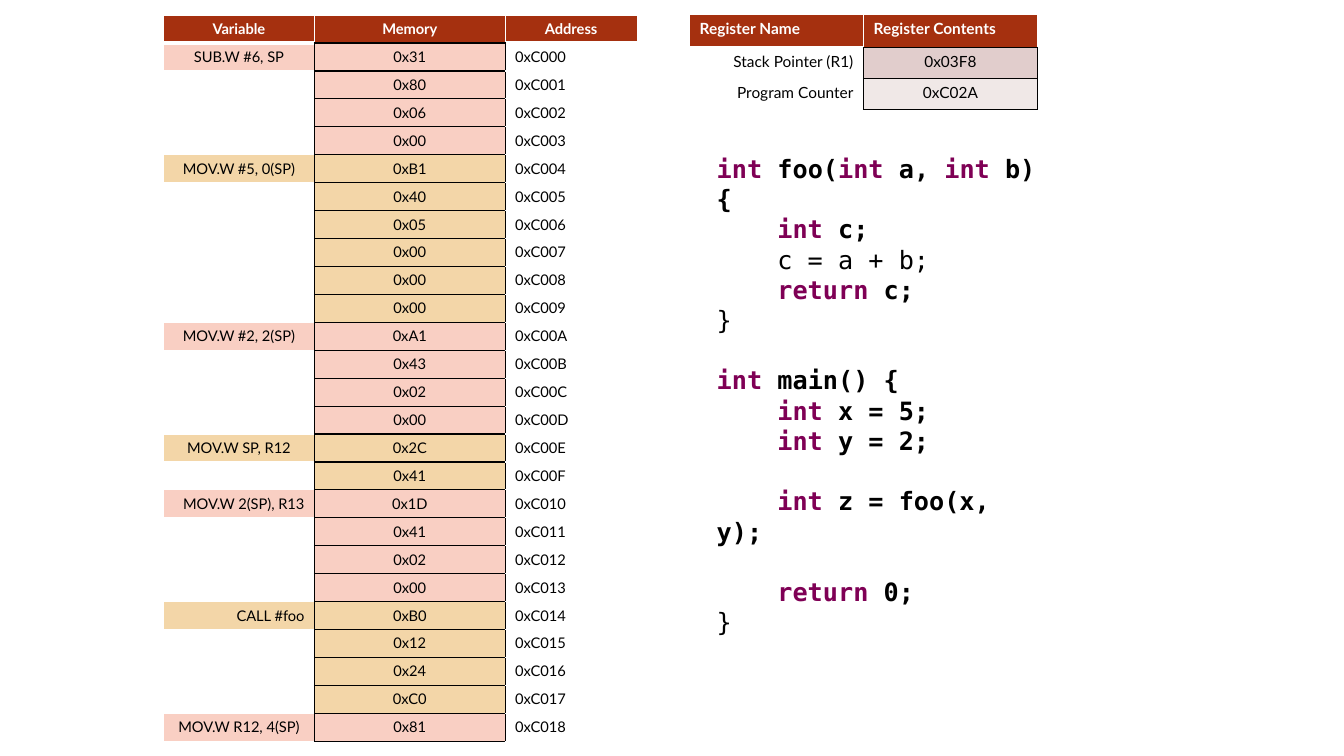
from dataclasses import dataclass

from lxml import etree
from pptx import Presentation
from pptx import util as u
from pptx.dml import color
from pptx.enum import text
from pptx.oxml import ns


@dataclass(frozen=True)
class Theme:
    white: str = "FFFFFF"
    black: str = "000000"
    header: str = "A5300F"
    pink: str = "F9CFC3"
    sand: str = "F3D6A8"
    mauve: str = "E1CDCC"
    pale_mauve: str = "F0E8E7"
    keyword: str = "7F0055"
    body_font: str = "Lato"
    code_font: str = "DejaVu Sans Mono"
    memory_size: float = 10.5
    register_size: float = 11
    code_size: float = 18
    code_gap: float = 21.6


THEME = Theme()
LEFT, CENTER, RIGHT = text.PP_ALIGN.LEFT, text.PP_ALIGN.CENTER, text.PP_ALIGN.RIGHT

WHITE_LINE = (THEME.white, 1)
BLACK_LINE = (THEME.black, 1)
THICK_LINE = (THEME.white, 3)
SIDES = ("lnL", "lnR", "lnT", "lnB")
HEADER_EDGES = (WHITE_LINE, WHITE_LINE, WHITE_LINE, THICK_LINE)
BOXED_HEADER_EDGES = (WHITE_LINE, WHITE_LINE, WHITE_LINE, BLACK_LINE)
LABEL_EDGES = (WHITE_LINE, BLACK_LINE, WHITE_LINE, WHITE_LINE)
BOXED_EDGES = (BLACK_LINE,) * 4
ADDRESS_EDGES = (BLACK_LINE, WHITE_LINE, WHITE_LINE, WHITE_LINE)

FIRST_ADDRESS = 0xC000
INSTRUCTIONS = [
    ("SUB.W #6, SP", CENTER, "31 80 06 00"),
    ("MOV.W #5, 0(SP)", CENTER, "B1 40 05 00 00 00"),
    ("MOV.W #2, 2(SP)", CENTER, "A1 43 02 00"),
    ("MOV.W SP, R12", CENTER, "2C 41"),
    ("MOV.W 2(SP), R13", RIGHT, "1D 41 02 00"),
    ("CALL #foo", RIGHT, "B0 12 24 C0"),
    ("MOV.W R12, 4(SP)", CENTER, "81"),
]

REGISTERS = [
    ("Stack Pointer (R1)", "0x03F8", THEME.mauve),
    ("Program Counter", "0xC02A", THEME.pale_mauve),
]

CODE_BLOCKS = [
    ["|int| foo(|int| a, |int| b){", "    |int| c;", "    c = a + b;",
     "    |return| c;", "}"],
    ["|int| main() {", "    |int| x = 5;", "    |int| y = 2;"],
    ["    |int| z = foo(x, y);"],
    ["    |return| 0;", "}"],
]


def add_run(paragraph, content, font_name, size, rgb, bold):
    run = paragraph.add_run()
    run.text = content
    run.font.name = font_name
    run.font.size = u.Pt(size)
    run.font.bold = bold
    run.font.color.rgb = color.RGBColor.from_string(rgb)


def format_cell(cell, content, size, fill, edges, align, ink=THEME.black, bold=False):
    properties = cell._tc.get_or_add_tcPr()
    for side, (rgb, width) in zip(SIDES, edges):
        line = etree.SubElement(properties, ns.qn(f"a:{side}"), w=str(u.Pt(width)))
        solid = etree.SubElement(line, ns.qn("a:solidFill"))
        etree.SubElement(solid, ns.qn("a:srgbClr"), val=rgb)
    cell.fill.solid()
    cell.fill.fore_color.rgb = color.RGBColor.from_string(fill)
    paragraph = cell.text_frame.paragraphs[0]
    paragraph.alignment = align
    if content:
        add_run(paragraph, content, THEME.body_font, size, ink, bold)
    else:
        etree.SubElement(paragraph._p, ns.qn("a:endParaRPr"), sz=str(int(size * 100)))


def add_plain_table(slide, box, row_count, column_widths):
    left, top, width, height = map(u.Inches, box)
    shape = slide.shapes.add_table(row_count, len(column_widths), left, top, width, height)
    table = shape.table
    table.first_row = False
    table.horz_banding = False
    for column, column_width in zip(table.columns, column_widths):
        column.width = u.Inches(column_width)
    return table


def format_header(table, titles, size, align):
    for index, title in enumerate(titles):
        edges = BOXED_HEADER_EDGES if index == 1 else HEADER_EDGES
        format_cell(table.cell(0, index), title, size, THEME.header, edges, align,
                    THEME.white, True)


def add_memory_table(slide, box):
    size = THEME.memory_size
    byte_count = sum(len(values.split()) for _, _, values in INSTRUCTIONS)
    table = add_plain_table(slide, box, byte_count + 1, (1.5, 1.89, 1.31))
    format_header(table, ("Variable", "Memory", "Address"), size, CENTER)
    row = 1
    for group, (instruction, align, values) in enumerate(INSTRUCTIONS):
        tint = (THEME.pink, THEME.sand)[group % 2]
        for offset, value in enumerate(values.split()):
            label, label_fill = ("", THEME.white) if offset else (instruction, tint)
            address = f"0x{FIRST_ADDRESS + row - 1:04X}"
            format_cell(table.cell(row, 0), label, size, label_fill, LABEL_EDGES, align)
            format_cell(table.cell(row, 1), f"0x{value}", size, tint, BOXED_EDGES, CENTER)
            format_cell(table.cell(row, 2), address, size, THEME.white, ADDRESS_EDGES, LEFT)
            row += 1


def add_register_table(slide, box):
    size = THEME.register_size
    table = add_plain_table(slide, box, len(REGISTERS) + 1, (box[2] / 2, box[2] / 2))
    for row, height in zip(table.rows, (0.33, 0.31, 0.31)):
        row.height = u.Inches(height)
    format_header(table, ("Register Name", "Register Contents"), size, LEFT)
    for row, (name, value, tint) in enumerate(REGISTERS, 1):
        format_cell(table.cell(row, 0), name, size, THEME.white, LABEL_EDGES, RIGHT)
        format_cell(table.cell(row, 1), value, size, tint, BOXED_EDGES, CENTER)


def add_code(slide, box):
    frame = slide.shapes.add_textbox(*map(u.Inches, box)).text_frame
    frame.word_wrap = True
    frame.auto_size = text.MSO_AUTO_SIZE.SHAPE_TO_FIT_TEXT
    paragraph = None
    for block_index, block in enumerate(CODE_BLOCKS):
        for line_index, line in enumerate(block):
            paragraph = frame.add_paragraph() if paragraph else frame.paragraphs[0]
            if block_index and not line_index:
                paragraph.space_before = u.Pt(THEME.code_gap)
            for index, piece in enumerate(line.split("|")):
                if piece:
                    ink = THEME.keyword if index % 2 else THEME.black
                    bold = "|" in line and bool(piece.strip())
                    add_run(paragraph, piece, THEME.code_font, THEME.code_size, ink, bold)


def main():
    presentation = Presentation()
    presentation.slide_width = u.Inches(13.33)
    presentation.slide_height = u.Inches(7.5)
    slide = presentation.slides.add_slide(presentation.slide_layouts[6])
    add_memory_table(slide, (1.62, 0.15, 4.7, 7.2))
    add_code(slide, (7.01, 1.47, 3.45, 4.34))
    add_register_table(slide, (6.84, 0.14, 3.45, 0.96))
    presentation.save("out.pptx")


if __name__ == "__main__":
    main()
